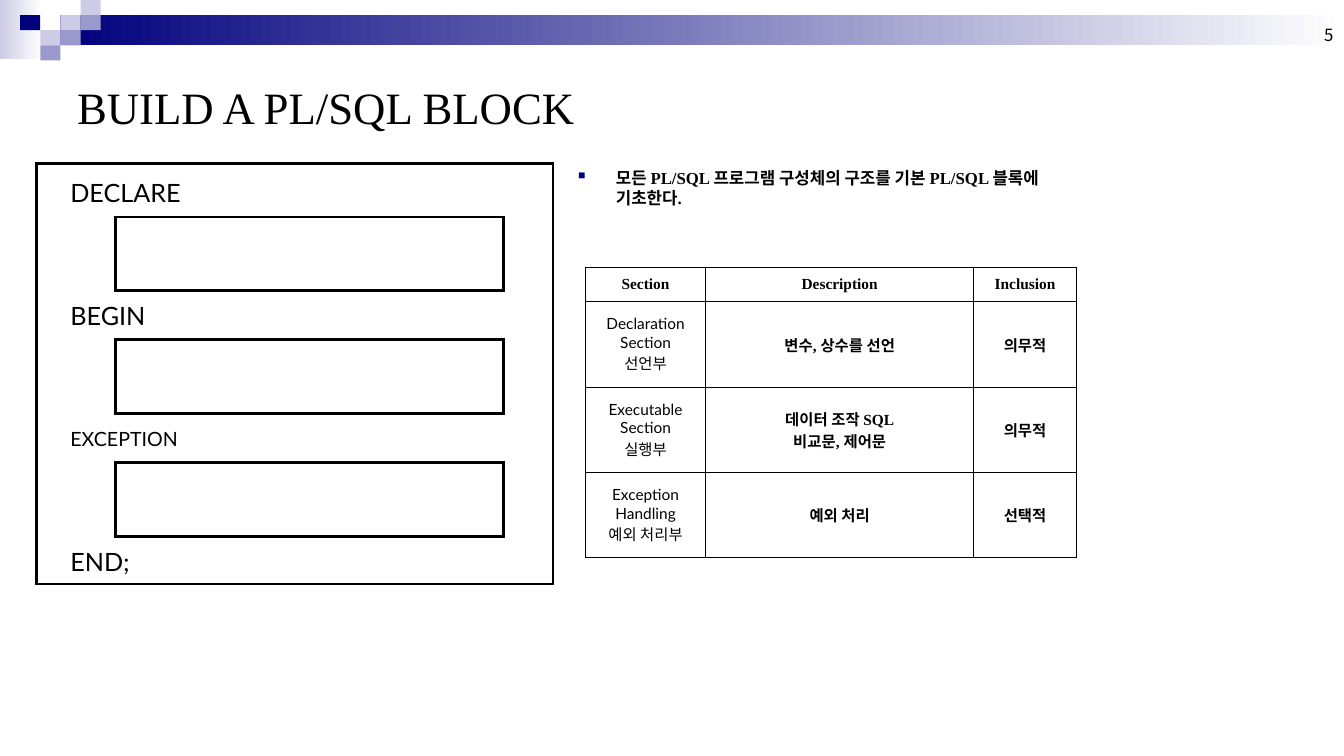
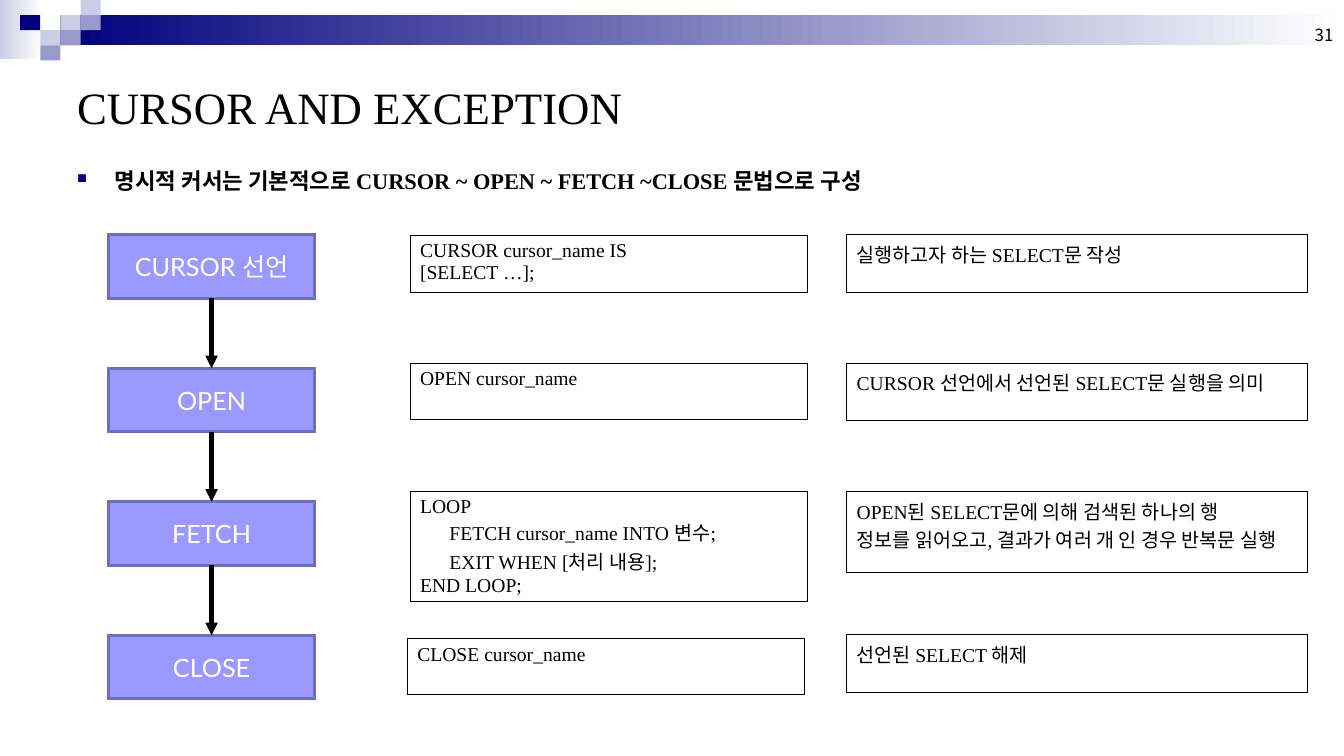
from dataclasses import dataclass

from pptx import Presentation
from pptx.dml.color import RGBColor
from pptx.enum import shapes as kinds, text as styles
from pptx.oxml import xmlchemy as xc
from pptx.oxml.ns import qn
from pptx.util import Pt


@dataclass(frozen=True)
class Theme:
    ink: str = "000000"
    paper: str = "FFFFFF"
    navy: str = "00007D"
    lilac: str = "CCCCE6"
    mauve: str = "9999CC"
    step: str = "9999FF"
    step_edge: str = "6F6FBC"
    serif: str = "Times New Roman"
    sans: str = "Lato"
    korean: str = "Noto Sans CJK KR"
    title: int = 32
    label: int = 18
    lead: int = 16
    body: int = 14
    small: int = 12
    table: int = 11
    outline: float = 2
    arrow: float = 3
    hairline: float = 0.45


THEME = Theme()
LEFT, CENTER, RIGHT = (styles.PP_ALIGN.LEFT, styles.PP_ALIGN.CENTER, styles.PP_ALIGN.RIGHT)
TOP, MIDDLE, BOTTOM = (styles.MSO_ANCHOR.TOP, styles.MSO_ANCHOR.MIDDLE, styles.MSO_ANCHOR.BOTTOM)
SLIDE_SIZE = (960.5, 540)
CODE_INDENT = 21
BULLET_INDENT = 27


def apply(target, values):
    for key, value in values.items():
        setattr(target, key, value)


def child(parent, tag, **attributes):
    element = xc.OxmlElement(tag)
    for key, value in attributes.items():
        element.set(key, str(value))
    parent.append(element)
    return element


def points(*lengths):
    return [Pt(length) for length in lengths]


def write(frame, lines, size, font=THEME.serif, color=THEME.ink, bold=False,
          align=LEFT, anchor=MIDDLE):
    apply(frame, {"word_wrap": True, "vertical_anchor": anchor})
    for index, line in enumerate(lines):
        paragraph = frame.paragraphs[0] if index == 0 else frame.add_paragraph()
        paragraph.alignment = align
        if line.startswith("\t"):
            paragraph._p.get_or_add_pPr().set("marL", str(Pt(CODE_INDENT)))
        run = paragraph.add_run()
        run.text = line.strip("\t")
        apply(run.font, {"size": Pt(size), "name": font, "bold": bold})
        run.font.color.rgb = RGBColor.from_string(color)
        child(run._r.get_or_add_rPr(), "a:ea", typeface=THEME.korean)


def add_text(slide, box, lines, size, **look):
    frame = slide.shapes.add_textbox(*points(*box)).text_frame
    write(frame, lines, size, **look)
    return frame


def add_box(slide, box, fill=None, edge=None):
    rect = slide.shapes.add_shape(kinds.MSO_SHAPE.RECTANGLE, *points(*box))
    rect.shadow.inherit = False
    if fill is None:
        rect.fill.background()
    elif isinstance(fill, tuple):
        rect.fill.gradient()
        rect.fill.gradient_angle = 0
        for stop, color in zip(rect.fill.gradient_stops, fill):
            stop.color.rgb = RGBColor.from_string(color)
    else:
        rect.fill.solid()
        rect.fill.fore_color.rgb = RGBColor.from_string(fill)
    if edge:
        rect.line.color.rgb = RGBColor.from_string(edge)
        rect.line.width = Pt(THEME.outline)
        child(rect._element.spPr.find(qn("a:ln")), "a:miter", lim=800000)
    else:
        rect.line.fill.background()
    return rect


def add_bullet(slide, box, line, size, space):
    frame = add_text(slide, box, [line], size, bold=True, anchor=TOP)
    paragraph = frame.paragraphs[0]
    paragraph.space_before = Pt(space)
    properties = paragraph._p.get_or_add_pPr()
    properties.set("marL", str(Pt(BULLET_INDENT)))
    properties.set("indent", str(-Pt(BULLET_INDENT)))
    child(child(properties, "a:buClr"), "a:srgbClr", val=THEME.navy)
    child(properties, "a:buSzPct", val=60000)
    child(properties, "a:buChar", char="■")


def outline_cell(cell):
    properties = cell._tc.get_or_add_tcPr()
    for side in ("a:lnL", "a:lnR", "a:lnT", "a:lnB"):
        border = child(properties, side, w=Pt(THEME.hairline))
        child(child(border, "a:solidFill"), "a:srgbClr", val=THEME.ink)
    cell.fill.background()


def add_grid(slide, origin, widths, heights, rows, look):
    size = (sum(widths), sum(heights))
    table = slide.shapes.add_table(
        len(heights), len(widths), *points(*origin, *size)).table
    apply(table, {"first_row": False, "horz_banding": False})
    for column, width in zip(table.columns, widths):
        column.width = Pt(width)
    for row, height in zip(table.rows, heights):
        row.height = Pt(height)
    for r, row in enumerate(rows):
        for c, lines in enumerate(row):
            cell = table.cell(r, c)
            outline_cell(cell)
            values = look(r, c)
            write(cell.text_frame, lines, **values)
            cell.vertical_anchor = values["anchor"]


def add_band(slide):
    wide, high = 14.4, 10.8
    add_box(slide, (0, 0, 30, 42), (THEME.lilac, THEME.paper))
    add_box(slide, (43.2, high, SLIDE_SIZE[0] - 43.2, 2 * high), (THEME.navy, THEME.paper))
    squares = {
        THEME.lilac: [(3, 1), (4, 0), (2, 2)],
        THEME.mauve: [(4, 1), (3, 2), (2, 3)],
        THEME.navy: [(1, 1)],
    }
    for color, cells in squares.items():
        for column, row in cells:
            add_box(slide, (column * wide, row * high, wide, high), color)


def new_slide(deck, title, number):
    slide = deck.slides.add_slide(deck.slide_layouts[6])
    add_band(slide)
    add_text(slide, (736, 0, 224, 35.6), [number], THEME.small,
             font=THEME.korean, align=RIGHT, anchor=BOTTOM)
    add_text(slide, (48, 35.6, 864, 80.6), [title], THEME.title)
    return slide


def add_block_diagram(slide, box):
    left, top, _, _ = box
    pitch = 87.8
    add_box(slide, box, edge=THEME.ink)
    keywords = ("DECLARE", "BEGIN", "EXCEPTION", "END;")
    for index, keyword in enumerate(keywords):
        offset = top + index * pitch
        if keyword != keywords[-1]:
            add_box(slide, (left + 56.6, offset + 38.2, 277.2, 52.6), edge=THEME.ink)
        size = THEME.body if keyword == "EXCEPTION" else THEME.label
        add_text(slide, (left + 17, offset + 13, 96.5, 15.8), [keyword],
                 size, font=THEME.sans)


def add_section_table(slide, origin):
    rows = [
        (["Section"], ["Description"], ["Inclusion"]),
        (["Declaration Section", "선언부"], ["변수, 상수를 선언"], ["의무적"]),
        (["Executable Section", "실행부"], ["데이터 조작 SQL", "비교문, 제어문"], ["의무적"]),
        (["Exception Handling", "예외 처리부"], ["예외 처리"], ["선택적"]),
    ]

    def look(row, column):
        plain = row > 0 and column == 0
        return {"size": THEME.table, "font": THEME.sans if plain else THEME.serif,
                "bold": not plain, "align": CENTER, "anchor": MIDDLE}

    add_grid(slide, origin, (86, 191.5, 73.5), (24.5, 61, 61, 61), rows, look)


def add_arrow(slide, start, end):
    arrow = slide.shapes.add_connector(kinds.MSO_CONNECTOR.STRAIGHT, 0, 0, 0, 0)
    arrow.begin_connect(start, 2)
    arrow.end_connect(end, 0)
    arrow.line.color.rgb = RGBColor.from_string(THEME.ink)
    arrow.line.width = Pt(THEME.arrow)
    properties = arrow._element.spPr
    child(properties.find(qn("a:ln")), "a:tailEnd", type="triangle")
    child(properties, "a:effectLst")


def add_step_flow(slide, box, pitch):
    left, top, width, height = box
    steps = []
    for index, name in enumerate(("CURSOR 선언", "OPEN", "FETCH", "CLOSE")):
        step = add_box(slide, (left, top + index * pitch, width, height),
                       THEME.step, THEME.step_edge)
        write(step.text_frame, [name], THEME.label, font=THEME.sans,
              color=THEME.paper, align=CENTER)
        steps.append(step)
    for start, end in zip(steps, steps[1:]):
        add_arrow(slide, start, end)


def add_notes_column(slide, width, notes):
    for left, top, height, lines in notes:
        add_grid(slide, (left, top), (width,), (height,), [(lines,)],
                 lambda row, column: {"size": THEME.body, "anchor": TOP})


def build_block_slide(deck):
    slide = new_slide(deck, "BUILD A PL/SQL BLOCK", "5")
    add_block_diagram(slide, (26.2, 116.8, 369, 300.4))
    add_bullet(slide, (406, 116, 351.4, 64),
               "모든 PL/SQL 프로그램 구성체의 구조를 기본 PL/SQL 블록에 기초한다.",
               THEME.small, 3)
    add_section_table(slide, (418.4, 191))


def build_cursor_slide(deck):
    slide = new_slide(deck, "CURSOR AND EXCEPTION", "31")
    add_bullet(slide, (48, 116, 710, 64),
               "명시적 커서는 기본적으로 CURSOR ~ OPEN ~ FETCH ~CLOSE 문법으로 구성",
               THEME.lead, 4)
    add_step_flow(slide, (77.4, 167.8, 147.6, 45.4), 95.3)
    add_notes_column(slide, 283.7, [
        (293, 168, 41, ["CURSOR cursor_name IS", "[SELECT …];"]),
        (293, 259.6, 40, ["OPEN cursor_name"]),
        (293, 351, 78.8, ["LOOP", "\tFETCH cursor_name INTO 변수;",
                          "\tEXIT WHEN [처리 내용];", "END LOOP;"]),
        (291, 456.2, 40, ["CLOSE cursor_name"]),
    ])
    add_notes_column(slide, 329.4, [
        (605, 167.6, 41, ["실행하고자 하는 SELECT문 작성"]),
        (605, 259.2, 41, ["CURSOR 선언에서 선언된 SELECT문 실행을 의미"]),
        (605, 351, 57.6, ["OPEN된 SELECT문에 의해 검색된 하나의 행",
                          "정보를 읽어오고, 결과가 여러 개 인 경우 반복문 실행"]),
        (605, 453.4, 41, ["선언된 SELECT 해제"]),
    ])


def main():
    deck = Presentation()
    deck.slide_width, deck.slide_height = points(*SLIDE_SIZE)
    build_block_slide(deck)
    build_cursor_slide(deck)
    deck.save("out.pptx")


if __name__ == "__main__":
    main()
